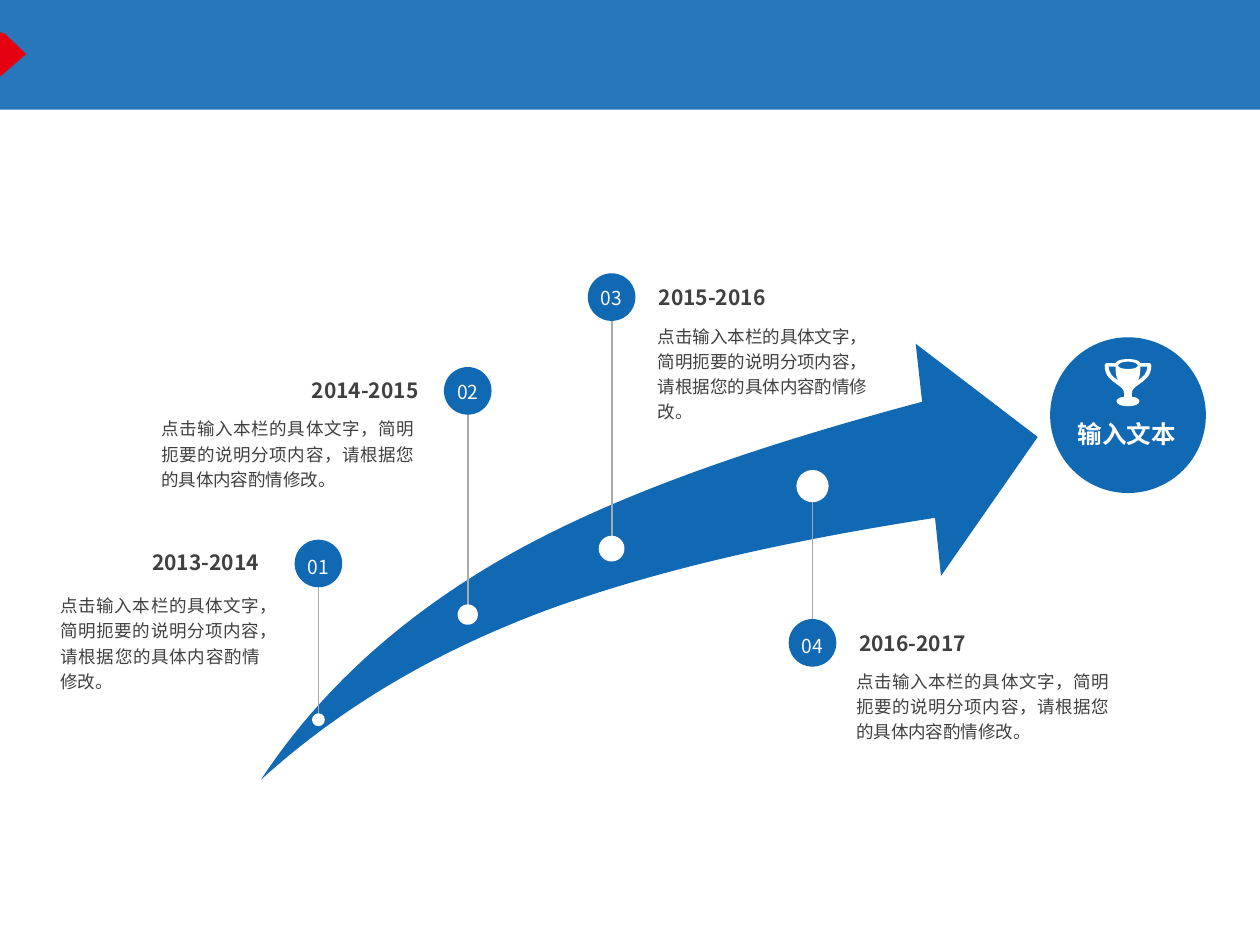
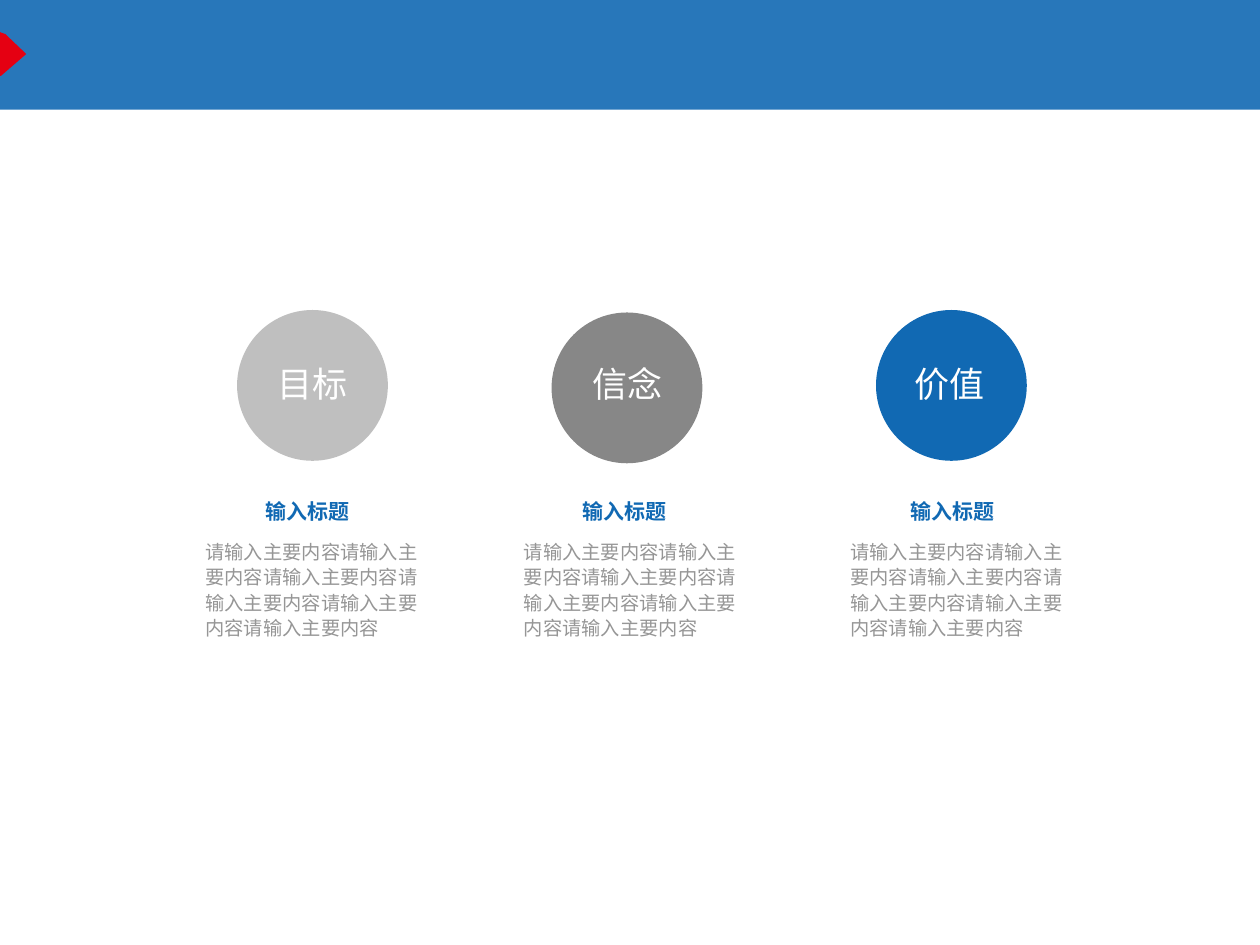
from dataclasses import dataclass

from lxml.etree import SubElement
from pptx import Presentation
from pptx.dml.color import RGBColor
from pptx.enum.shapes import MSO_CONNECTOR, MSO_SHAPE
from pptx.enum.text import MSO_ANCHOR, PP_ALIGN
from pptx.oxml.ns import qn
from pptx.util import Cm, Pt

BLUE, RED, WHITE, PALE = "1169B3", "E50012", "FFFFFF", "FCFCFC"
INK, STEM, MUTED = "404040", "A6AAA9", "969696"
FONT = "Noto Sans CJK SC"
DETAIL = "点击输入本栏的具体文字，简明扼要的说明分项内容，请根据您的具体内容酌情修改。"
FILLER = "请输入主要内容" * 6
AXIS, CUP_TOP = 22.74, 7.24

Point = tuple[float, float]
Box = tuple[float, float, float, float]


@dataclass(frozen=True)
class Stage:
    number: str
    years: str
    x: float
    badge_y: float
    label_y: float
    dot_y: float
    dot: float
    head: Box
    body: Box
    align: PP_ALIGN = PP_ALIGN.LEFT
    inset: float = 0
    leading: float | None = 0.9


@dataclass(frozen=True)
class Pillar:
    label: str
    color: str
    x: float
    y: float
    label_x: float
    head_x: float
    body_x: float


@dataclass(frozen=True)
class Loop:
    points: list[Point]
    kinds: list[int]


STAGES = [
    Stage("01", "2013-2014", 6.42, 11.36, 11.05, 14.51, 0.26, (0.75, 10.87, 4.72, 0.91),
          (0.97, 11.79, 4.52, 1.4), PP_ALIGN.RIGHT, 0.25, None),
    Stage("02", "2014-2015", 9.43, 7.88, 7.54, 12.39, 0.41, (3.36, 7.44, 5.08, 0.91),
          (3.25, 8.35, 5.1, 1.4), PP_ALIGN.RIGHT),
    Stage("03", "2015-2016", 12.33, 5.99, 5.64, 11.06, 0.52, (13.28, 5.56, 4.19, 0.91),
          (13.26, 6.48, 4.22, 1.4)),
    Stage("04", "2016-2017", 16.38, 12.96, 12.65, 9.8, 0.65, (17.32, 12.54, 4.19, 0.91),
          (17.26, 13.44, 5.1, 1.4)),
]
PILLARS = [
    Pillar("目标", "BFBFBF", 6.3, 7.77, 6.31, 5.11, 3.89),
    Pillar("信念", "878787", 12.64, 7.82, 12.66, 11.5, 10.31),
    Pillar("价值", BLUE, 19.18, 7.77, 19.14, 18.1, 16.89),
]


def rgb(color: str) -> RGBColor:
    return RGBColor.from_string(color)


def paint(shape, color: str, alpha: int = 100):
    shape.shadow.inherit = False
    shape.fill.solid()
    shape.fill.fore_color.rgb = rgb(color)
    shape.line.fill.background()
    if alpha < 100:
        tint = shape.fill._xPr.find(qn("a:solidFill"))[0]
        SubElement(tint, qn("a:alpha")).set("val", str(alpha * 1000))
    return shape


def add_text(slide, box: Box, text: str, *, size: float, color: str = INK,
             bold: bool = False, align: PP_ALIGN = PP_ALIGN.LEFT,
             anchor: MSO_ANCHOR = MSO_ANCHOR.TOP,
             leading: float | Pt | None = None, inset: float = 0) -> None:
    frame = slide.shapes.add_textbox(*map(Cm, box)).text_frame
    frame.word_wrap = True
    frame.vertical_anchor = anchor
    frame.margin_left = frame.margin_right = Cm(inset)
    frame.margin_top = frame.margin_bottom = Cm(inset / 2)
    line = frame.paragraphs[0]
    line.alignment = align
    line.line_spacing = leading
    run = line.add_run()
    run.text = text
    run.font.name, run.font.size, run.font.bold = FONT, Pt(size), bold
    run.font.color.rgb = rgb(color)
    SubElement(run.font._element, qn("a:ea")).set("typeface", FONT)


def add_disc(slide, x: float, y: float, size: float, color: str) -> None:
    box = x - size / 2, y - size / 2, size, size
    paint(slide.shapes.add_shape(MSO_SHAPE.OVAL, *map(Cm, box)), color)


def add_stem(slide, x: float, start: float, end: float) -> None:
    stem = slide.shapes.add_connector(MSO_CONNECTOR.STRAIGHT, Cm(x), Cm(start), Cm(x), Cm(end))
    stem.line.color.rgb = rgb(STEM)
    stem.line.width = Pt(1)
    SubElement(stem._element.spPr, qn("a:effectLst"))


def trace(start: Point, *parts: tuple[float, ...]) -> Loop:
    points = [start]
    for part in parts:
        points += zip(part[::2], part[1::2])
    return Loop(points, [len(part) // 2 for part in parts])


def flip(loop: Loop) -> Loop:
    return Loop([(-x, y) for x, y in reversed(loop.points)], loop.kinds[::-1])


def whole(half: Loop) -> Loop:
    other = flip(half)
    return Loop(half.points + other.points[1:], half.kinds + other.kinds)


def bend(shape, kinds: list[int]) -> None:
    lines = iter(list(shape._element.iter(qn("a:lnTo"))))
    for kind in kinds:
        first = next(lines)
        if kind == 3:
            first.tag = qn("a:cubicBezTo")
            for line in (next(lines), next(lines)):
                first.append(line[0])
                line.getparent().remove(line)


def add_form(slide, color: str, *loops: Loop, x: float = 0, y: float = 0):
    placed = [[(Cm(x + a), Cm(y + b)) for a, b in loop.points] for loop in loops]
    form = slide.shapes.build_freeform(*placed[0][0])
    for index, points in enumerate(placed):
        if index:
            form.move_to(*points[0])
        form.add_line_segments(points[1:], close=True)
    shape = paint(form.convert_to_shape(), color)
    bend(shape, [kind for loop in loops for kind in loop.kinds])
    return shape


def add_cup(slide) -> None:
    side = trace((0, 0.95), (0.13, 0.95, 0.23, 0.91, 0.23, 0.85),
                 (0.23, 0.8, 0.15, 0.76, 0.08, 0.76), (0.08, 0.69),
                 (0.08, 0.61, 0.12, 0.58, 0.22, 0.51),
                 (0.32, 0.43, 0.47, 0.36, 0.47, 0.13),
                 (0.47, 0.1, 0.45, 0.08, 0.43, 0.08), (0.25, 0.08),
                 (0.23, 0.03, 0.15, 0, 0, 0))
    grip = trace((0.2, 0.43), (0.24, 0.36, 0.25, 0.28, 0.25, 0.15), (0.39, 0.15),
                 (0.38, 0.3, 0.3, 0.36, 0.2, 0.43))
    rim = trace((0, 0.05), (0.14, 0.05, 0.2, 0.1, 0.2, 0.13),
                (0.2, 0.16, 0.14, 0.2, 0, 0.2))
    add_form(slide, WHITE, whole(side), grip, flip(grip), whole(rim), x=AXIS, y=CUP_TOP)


def add_header(slide) -> None:
    box = -0.05, 0, 25.53, 2.21
    band = paint(slide.shapes.add_shape(MSO_SHAPE.RECTANGLE, *map(Cm, box)), BLUE, 90)
    mark = add_form(slide, RED, trace((-0.05, 0.63), (0.11, 0.69), (0.53, 1.09),
                                      (0.02, 1.53), (-0.05, 1.53)))
    for part in (band, mark):
        slide.slide_layout.shapes._spTree.append(part._element)


def add_stage(slide, stage: Stage) -> None:
    add_disc(slide, stage.x, stage.badge_y, 0.96, BLUE)
    add_disc(slide, stage.x, stage.dot_y, stage.dot, WHITE)
    add_text(slide, (stage.x - 0.29, stage.label_y, 0.58, 0.71), stage.number, size=11,
             color=PALE, align=PP_ALIGN.CENTER, anchor=MSO_ANCHOR.MIDDLE, leading=Pt(14))
    add_text(slide, stage.head, stage.years, size=12, bold=True, align=stage.align,
             anchor=MSO_ANCHOR.MIDDLE, leading=stage.leading, inset=stage.inset)
    add_text(slide, stage.body, DETAIL, size=10, align=PP_ALIGN.JUSTIFY,
             leading=Pt(14.4), inset=stage.inset)


def add_pillar(slide, pillar: Pillar) -> None:
    add_disc(slide, pillar.x, pillar.y, 3.04, pillar.color)
    add_text(slide, (pillar.label_x - 1.27, 7.19, 2.54, 1.17), pillar.label, size=20,
             color=WHITE, align=PP_ALIGN.CENTER, inset=0.25)
    add_text(slide, (pillar.body_x, 10.72, 4.95, 2.31), FILLER, size=11,
             color=MUTED, leading=Pt(14.5), inset=0.25)
    add_text(slide, (pillar.head_x, 9.93, 2.24, 0.79), "输入标题", size=12,
             color=BLUE, bold=True, inset=0.25)


def draw_path(slide) -> None:
    add_form(slide, BLUE, trace(
        (5.26, 15.72), (6.5, 13.84, 8.2, 12.34, 10.36, 11.13),
        (12.57, 9.91, 15.34, 8.97, 18.59, 8.1), (18.46, 6.93), (20.92, 8.81),
        (18.97, 11.61), (18.85, 10.44), (15.88, 10.9, 13.28, 11.48, 11.05, 12.29),
        (8.79, 13.13, 6.88, 14.25, 5.26, 15.72)))
    for stage in STAGES:
        add_stem(slide, stage.x, stage.dot_y, stage.badge_y)
    for stage in STAGES:
        add_stage(slide, stage)
    add_disc(slide, AXIS, 8.37, 3.14, BLUE)
    add_cup(slide)
    add_text(slide, (21.56, 8.32, 2.31, 0.91), "输入文本", size=14, color=WHITE,
             bold=True, align=PP_ALIGN.CENTER, anchor=MSO_ANCHOR.MIDDLE, leading=0.9)


def draw_values(slide) -> None:
    for pillar in PILLARS:
        add_pillar(slide, pillar)


def main() -> None:
    deck = Presentation()
    deck.slide_width, deck.slide_height = Cm(25.4), Cm(19.05)
    path, values = [deck.slides.add_slide(deck.slide_layouts[6]) for _ in range(2)]
    add_header(path)
    draw_path(path)
    draw_values(values)
    deck.save("out.pptx")


if __name__ == "__main__":
    main()
